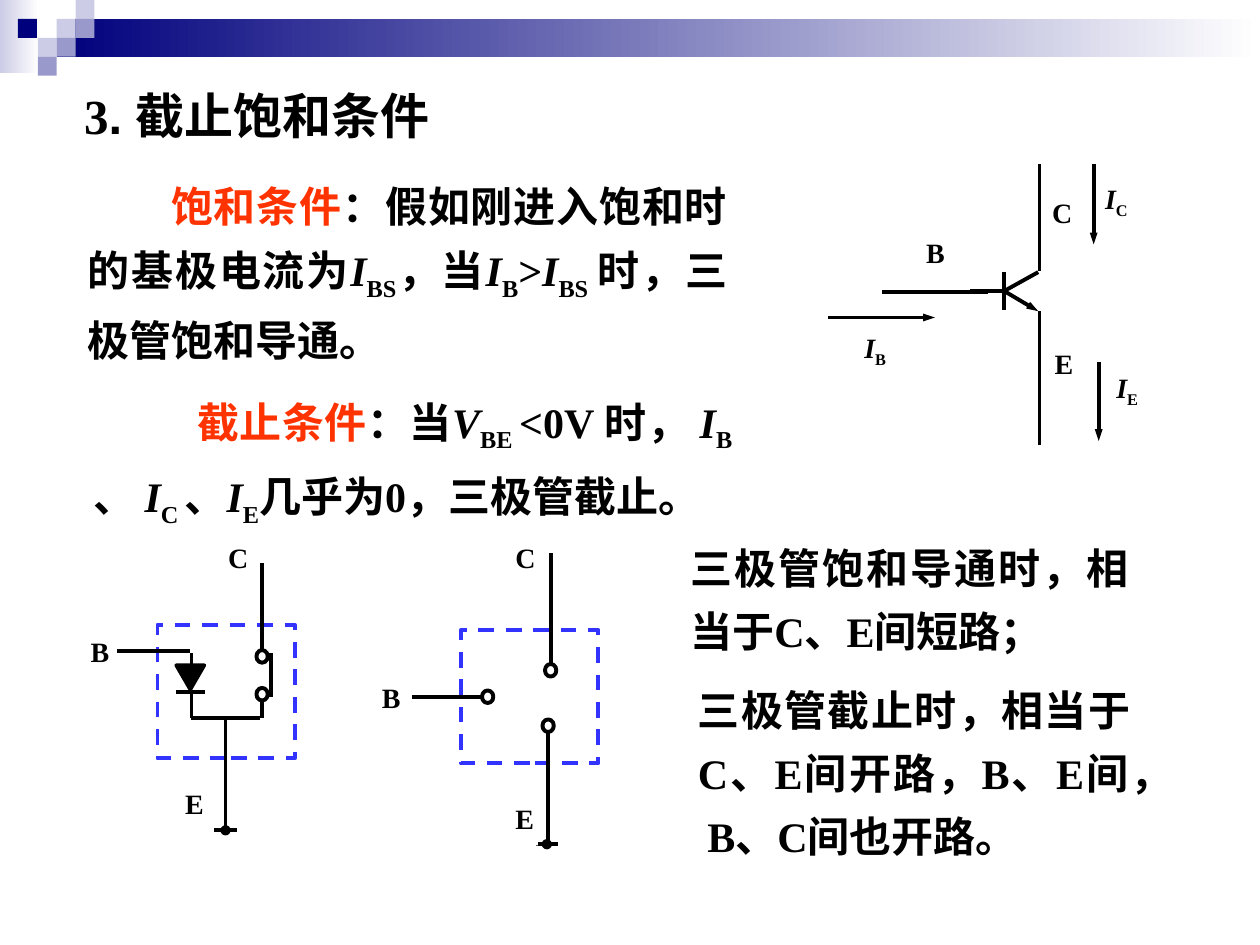
from lxml.etree import SubElement
from pptx import Presentation
from pptx.dml.color import RGBColor
from pptx.enum.dml import MSO_LINE
from pptx.enum.shapes import MSO_CONNECTOR, MSO_SHAPE as SHAPE
from pptx.enum.text import MSO_ANCHOR, MSO_AUTO_SIZE, PP_ALIGN
from pptx.oxml.ns import qn
from pptx.util import Inches, Pt

COLORS = {
    "black": "000000", "white": "FFFFFF", "red": "FF3300", "blue": "3333FF",
    "navy": "00007D", "pale": "CCCCE6", "mid": "9999CC",
}
SERIF = "Times New Roman"
LINE_WIDTH = Pt(2.25)


def rgb(name):
    return RGBColor.from_string(COLORS[name])


def add_figure(s, kind, box, fill=None, line=None, dash=False, gradient=None):
    sp = s.shapes.add_shape(kind, *map(Inches, box))
    sp.shadow.inherit = False
    if gradient:
        sp.fill.gradient()
        sp.fill.gradient_angle = 180
        for stop, name, pos in zip(sp.fill.gradient_stops, gradient, (0, 1)):
            stop.color.rgb = rgb(name)
            stop.position = pos
    elif fill:
        sp.fill.solid()
        sp.fill.fore_color.rgb = rgb(fill)
    else:
        sp.fill.background()
    if line:
        sp.line.color.rgb = rgb(line)
        sp.line.width = LINE_WIDTH
        if dash:
            sp.line.dash_style = MSO_LINE.DASH
    else:
        sp.line.fill.background()
    return sp


def add_wire(s, x1, y1, x2, y2, arrow=False):
    wire = s.shapes.add_connector(MSO_CONNECTOR.STRAIGHT, *map(Inches, (x1, y1, x2, y2)))
    wire.line.color.rgb = rgb("black")
    wire.line.width = LINE_WIDTH
    if arrow:
        SubElement(wire.line._get_or_add_ln(), qn("a:tailEnd"), type="triangle", w="sm", len="med")
    SubElement(wire._element.spPr, qn("a:effectLst"))


def add_wires(s, wires):
    for wire in wires:
        add_wire(s, *wire)


def add_run(p, text, style="", size=24, font=SERIF):
    """Style is empty, "red", "var" (italic) or "sub" (subscript)."""
    r = p.add_run()
    r.text = text
    r.font.size = Pt(size)
    r.font.name = font
    r.font.bold = True
    r.font.italic = style == "var"
    r.font.color.rgb = rgb("red" if style == "red" else "black")
    if style == "sub":
        r.font._element.set("baseline", "-25000")


def add_label(s, box, letter, current=False):
    sp = add_figure(s, SHAPE.RECTANGLE, box, fill="white")
    tf = sp.text_frame
    tf.margin_left = tf.margin_right = tf.margin_top = tf.margin_bottom = 0
    tf.vertical_anchor = MSO_ANCHOR.TOP
    p = tf.paragraphs[0]
    p.alignment = PP_ALIGN.JUSTIFY
    if current:
        add_run(p, "I", "var", size=16)
    add_run(p, letter, "sub" if current else "", size=16)


def add_contacts(s, centers):
    for x, y in centers:
        add_figure(s, SHAPE.OVAL, (x - 0.045, y - 0.05, 0.09, 0.1), "white", "black")


def add_terminal(s, x, y):
    add_figure(s, SHAPE.OVAL, (x - 0.025, y - 0.025, 0.05, 0.05), "black", "black")


def add_text(s, box, runs, spacing=1.0, indent=0):
    tf = s.shapes.add_textbox(*map(Inches, box)).text_frame
    tf.word_wrap = True
    tf.auto_size = MSO_AUTO_SIZE.SHAPE_TO_FIT_TEXT
    p = tf.paragraphs[0]
    p.alignment = PP_ALIGN.JUSTIFY
    p.line_spacing = spacing
    if indent:
        p._p.get_or_add_pPr().set("indent", str(Inches(indent)))
    for run in runs:
        add_run(p, *run)


def add_header(s):
    add_figure(s, SHAPE.RECTANGLE, (0, 0, 0.31, 0.58), gradient=("white", "pale"))
    add_figure(s, SHAPE.RECTANGLE, (0.45, 0.15, 9.55, 0.3), gradient=("white", "navy"))
    # Checker squares as column, row on a 0.15 inch grid
    squares = [(3, 1, "pale"), (4, 0, "pale"), (4, 1, "mid"), (2, 2, "pale"),
               (0.95, 1, "navy"), (3, 2, "mid"), (2, 3, "mid")]
    for col, row, fill in squares:
        add_figure(s, SHAPE.RECTANGLE, (col * 0.15, row * 0.15, 0.15, 0.15), fill)


def add_open_circuit(s):
    add_figure(s, SHAPE.RECTANGLE, (3.66, 5, 1.09, 1.06), line="blue", dash=True)
    add_wires(s, [(4.37, 4.39, 4.37, 5.28), (4.35, 5.8, 4.35, 6.68),
                  (3.85, 5.53, 3.27, 5.53), (4.25, 6.7, 4.43, 6.7)])
    add_contacts(s, [(3.87, 5.53), (4.37, 5.32), (4.35, 5.76)])
    add_label(s, (3.03, 5.4, 0.18, 0.53), "B")
    add_label(s, (4.09, 4.29, 0.18, 0.35), "C")
    add_label(s, (4.09, 6.36, 0.18, 0.35), "E")
    add_terminal(s, 4.34, 6.7)


def add_short_circuit(s):
    add_figure(s, SHAPE.RECTANGLE, (1.25, 4.96, 1.09, 1.06), "white", "blue", dash=True)
    # Diode
    diode = add_figure(s, SHAPE.ISOSCELES_TRIANGLE, (1.4, 5.28, 0.22, 0.19), "black", "black")
    diode.rotation = 180
    add_wires(s, [(1.52, 5.3, 1.52, 5.18), (1.63, 5.49, 1.4, 5.49), (1.52, 5.49, 1.52, 5.7)])
    # Switch, base and emitter wires
    add_wires(s, [(1.52, 5.7, 2.06, 5.7), (2.08, 5.7, 2.08, 5.53), (2.08, 5.17, 2.08, 4.47),
                  (2.15, 5.18, 2.15, 5.53), (1.51, 5.17, 0.93, 5.17),
                  (1.79, 5.7, 1.79, 6.59), (1.7, 6.59, 1.88, 6.59)])
    add_contacts(s, [(2.08, 5.21), (2.08, 5.51)])
    add_label(s, (0.72, 5.04, 0.18, 0.53), "B")
    add_label(s, (1.81, 4.29, 0.18, 0.35), "C")
    add_label(s, (1.47, 6.24, 0.18, 0.35), "E")
    add_terminal(s, 1.79, 6.59)


def add_transistor(s):
    add_wires(s, [(7, 2.32, 7.84, 2.32), (7.97, 2.31, 7.7, 2.31), (7.97, 2.16, 7.97, 2.46),
                  (7.97, 2.31, 8.24, 2.16), (7.97, 2.31, 8.24, 2.47, True),
                  (8.25, 2.47, 8.25, 3.53), (8.25, 2.15, 8.25, 1.3)])
    add_label(s, (7.35, 1.87, 0.28, 0.41), "B")
    add_label(s, (8.37, 2.75, 0.28, 0.42), "E")
    add_label(s, (8.35, 1.55, 0.28, 0.42), "C")
    # Current arrows
    add_wires(s, [(8.68, 1.3, 8.68, 1.94, True), (6.57, 2.52, 7.42, 2.52, True),
                  (8.72, 2.87, 8.72, 3.5, True)])
    add_label(s, (6.86, 2.62, 0.53, 0.42), "B", current=True)
    add_label(s, (8.77, 1.44, 0.31, 0.33), "C", current=True)
    add_label(s, (8.86, 2.94, 0.56, 0.42), "E", current=True)


def main():
    prs = Presentation()
    prs.slide_width, prs.slide_height = Inches(10), Inches(7.5)
    s = prs.slides.add_slide(prs.slide_layouts[6])

    add_header(s)
    add_open_circuit(s)
    add_short_circuit(s)

    # Conclusions
    add_text(s, (5.38, 4.16, 3.68, 1.1), [("三极管饱和导通时，相当于C、E间短路；",)], 1.25)
    add_text(s, (5.44, 5.28, 3.63, 1.6),
             [("三极管截止时，相当于C、E间开路，B、E间， B、C间也开路。",)], 1.25)

    # Title
    add_text(s, (0.57, 0.63, 4.13, 0.57),
             [("3", "", 28), (". 截止饱和条件", "", 28, "Arial")])

    add_transistor(s)

    # Saturation and cut-off conditions
    add_text(s, (0.6, 1.28, 5.27, 1.67), [
        ("饱和条件", "red"), ("：假如刚进入饱和时的基极电流为",), ("I", "var"), ("BS", "sub"),
        ("，当",), ("I", "var"), ("B", "sub"), (">",), ("I", "var"), ("BS ", "sub"),
        ("时，三极管饱和导通。",)], 1.25, indent=0.66)
    add_text(s, (0.64, 2.96, 5.27, 1.29), [
        ("截止条件", "red"), ("：当",), ("V", "var"), ("BE ", "sub"), ("<0V 时， ",),
        ("I", "var"), ("B ", "sub"), ("、 ",), ("I", "var"), ("C ", "sub"), ("、",),
        ("I", "var"), ("E", "sub"), ("几乎为0，三极管截止。",)], 1.3, indent=0.83)

    prs.save("out.pptx")


if __name__ == "__main__":
    main()
